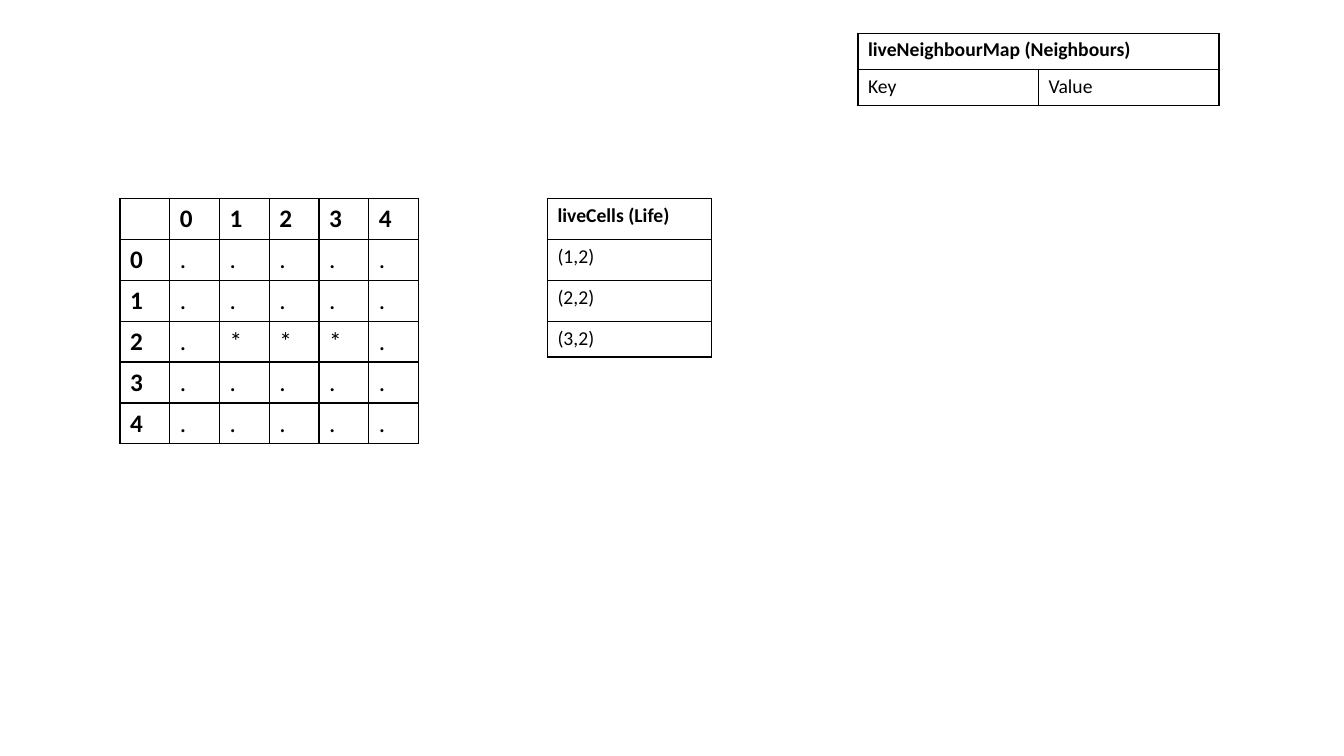
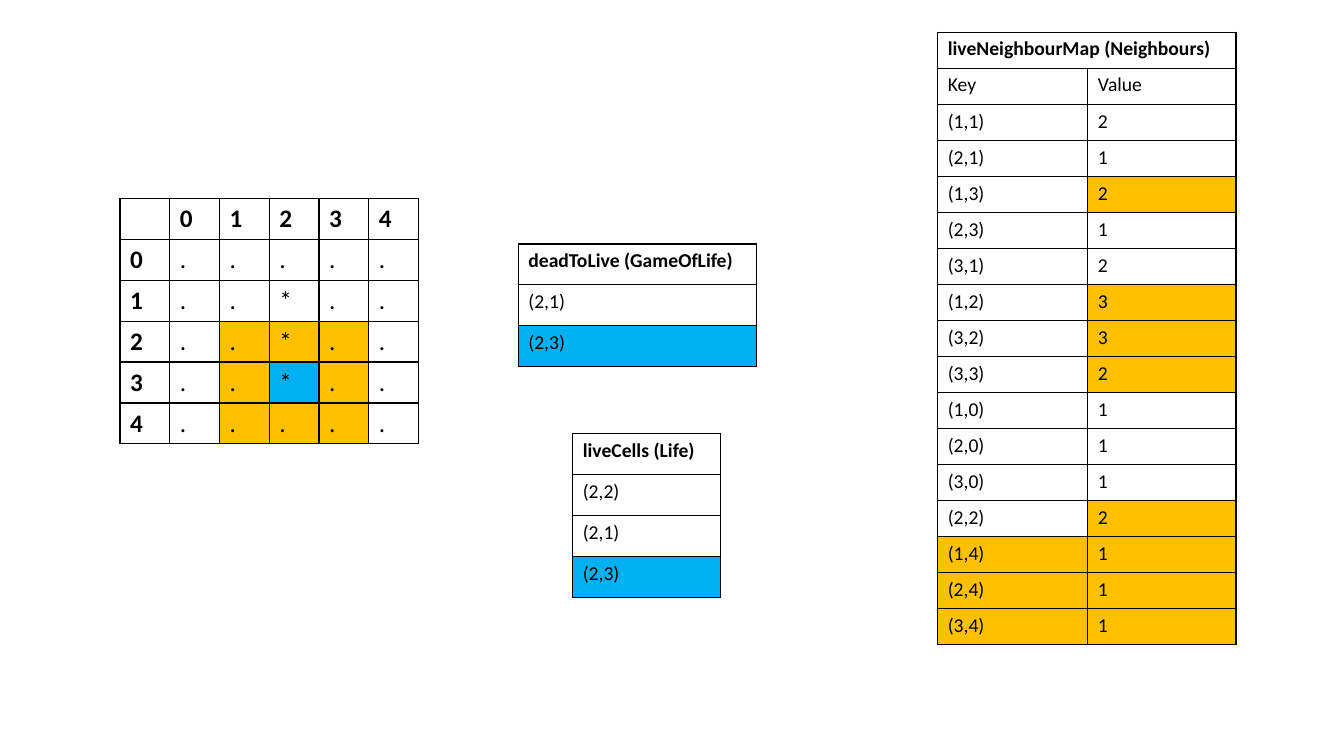
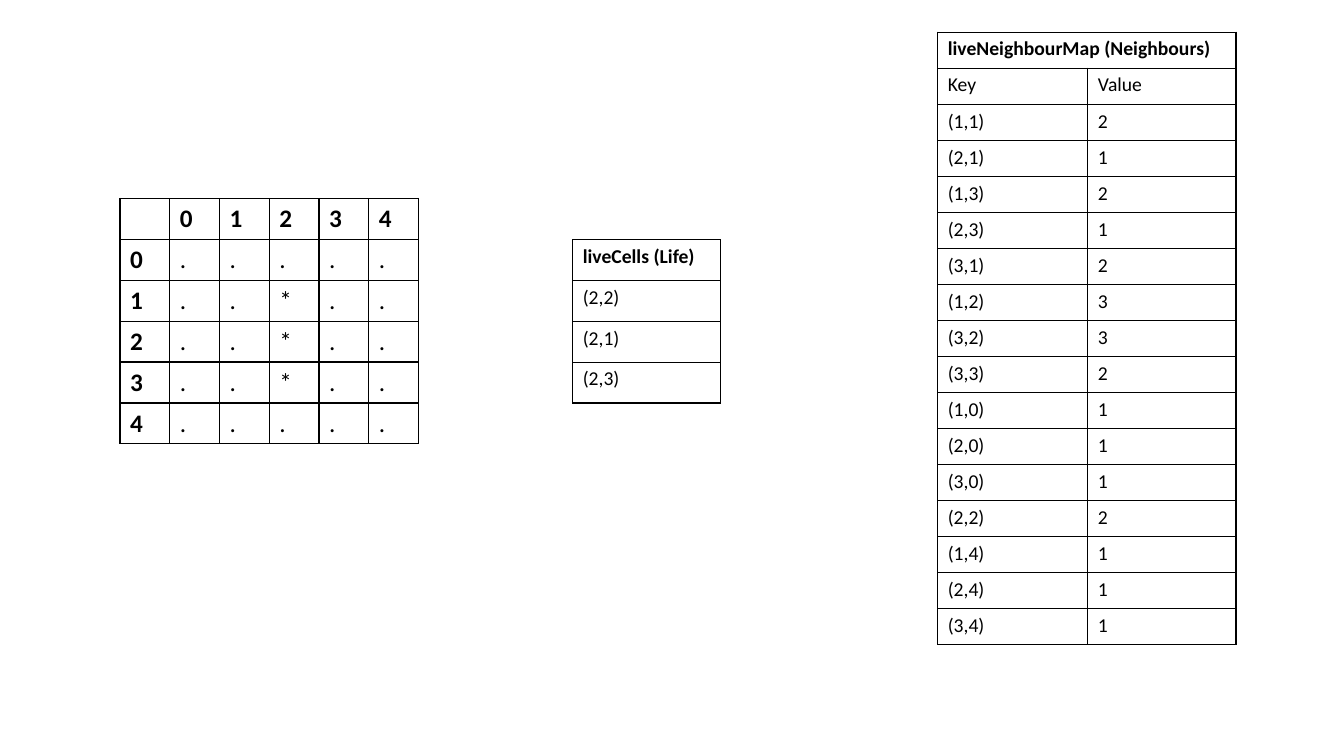
from dataclasses import dataclass

from lxml.etree import SubElement as Sub
from pptx import Presentation
from pptx.dml.color import RGBColor as RGB
from pptx.oxml.ns import qn
from pptx.util import Inches, Pt


@dataclass(frozen=True)
class Theme:
    font: str = "Calibri"
    ink: str = "000000"
    near: str = "FFC000"
    born: str = "00B0F0"
    large: int = 18
    small: int = 14
    line: int = 1


theme = Theme()


def edge(cell, sides):
    """Draw a thin line on the named sides of a cell and none on the rest."""
    props = cell._tc.get_or_add_tcPr()
    for side in "LRTB":
        line = Sub(props, qn(f"a:ln{side}"), w=str(Pt(theme.line)))
        if side in sides:
            Sub(Sub(line, qn("a:solidFill")), qn("a:srgbClr"), val=theme.ink)
        else:
            Sub(line, qn("a:noFill"))


def draw(slide, left, top, widths, height, rows, size=theme.small, fills={},
         side=False, gap=False):
    """Add a table; a short first row is a title that spans to the right.

    fills maps (row, column) to a colour, side makes column one bold,
    and gap leaves column one without a frame.
    """
    frame = slide.shapes.add_table(len(rows), len(widths), Inches(left), Inches(top),
                                   Inches(sum(widths)), Inches(height))
    table = frame.table
    table.first_row = table.horz_banding = False
    for col, width in zip(table.columns, widths):
        col.width = Inches(width)
    for r, row in enumerate(rows):
        for c in range(len(widths)):
            cell = table.cell(r, c)
            edge(cell, "R" if gap and c == 0 else "LRTB")
            if (r, c) in fills:
                cell.fill.solid()
                cell.fill.fore_color.rgb = RGB.from_string(fills[r, c])
            else:
                cell.fill.background()
            para = cell.text_frame.paragraphs[0]
            if c < len(row):
                para.text = row[c]
            font = para.font
            font.name, font.size = theme.font, Pt(size)
            font.bold = r == 0 or (side and c == 0)
            font.color.rgb = RGB.from_string(theme.ink)
    head = len(rows[0])
    if head < len(widths):
        table.cell(0, head - 1).merge(table.cell(0, len(widths) - 1))
    return table


span = range(5)
row_live = [(1, 2), (2, 2), (3, 2)]
col_live = [(2, 2), (2, 1), (2, 3)]
born = (2, 3)
near = {(x, y) for x in (1, 2, 3) for y in (2, 3, 4)} - {born}
counts = {(1, 1): 2, (2, 1): 1, (1, 3): 2, (2, 3): 1, (3, 1): 2,
          (1, 2): 3, (3, 2): 3, (3, 3): 2, (1, 0): 1, (2, 0): 1,
          (3, 0): 1, (2, 2): 2, (1, 4): 1, (2, 4): 1, (3, 4): 1}

map_head = [["liveNeighbourMap (Neighbours)"], ["Key", "Value"]]
map_rows = map_head + [[f"({x},{y})", str(n)] for (x, y), n in counts.items()]
map_rows = [["", *row] for row in map_rows]

# Colours for the step in which the cell at born comes alive
board_fills = {(y + 1, x + 1): theme.near for x, y in near}
board_fills[born[1] + 1, born[0] + 1] = theme.born
map_fills = {}
for r, key in enumerate(counts, len(map_head)):
    if key in near:
        map_fills[r, 2] = theme.near
        if key[1] == 4:
            map_fills[r, 1] = theme.near

deck = Presentation()
deck.slide_width, deck.slide_height = Inches(13.33), Inches(7.5)

row_list, col_list = ([["liveCells (Life)"]] + [[f"({x},{y})"] for x, y in live]
                      for live in (row_live, col_live))
col_list = [["", *row] for row in col_list]
map_cols, list_cols = [0.61, 1.49, 1.47], [0.61, 1.47]

slides = []
for live, fills in ((row_live, {}), (col_live, board_fills), (col_live, {})):
    slide = deck.slides.add_slide(deck.slide_layouts[6])
    slides.append(slide)
    if live is col_live:
        draw(slide, 8.69, 0.32, map_cols, 6.08, map_rows,
             fills=map_fills if fills else {}, gap=True)
    board = [[""] + [str(x) for x in span]]
    board += [[str(y)] + ["*" if (x, y) in live else "." for x in span] for y in span]
    draw(slide, 1.19, 1.97, [2.96 / 6] * 6, 2.43, board, theme.large, fills, side=True)
first, step, last = slides

# Start
life = draw(first, 5.43, 1.97, [1.63], 1.63, row_list)
life.rows[3].height = Inches(0.35)
draw(first, 8.51, 0.33, [1.79, 1.79], 0.72, map_head)

# Birth of a cell
draw(step, 5.14, 2.42, [2.36], 1.22,
     [["deadToLive (GameOfLife)"], ["(2,1)"], ["(2,3)"]], fills={(2, 0): theme.born})
draw(step, 5.07, 4.3, list_cols, 1.63, col_list, fills={(3, 1): theme.born}, gap=True)

# Result
draw(last, 5.07, 2.38, list_cols, 1.62, col_list, gap=True)

deck.save("out.pptx")
